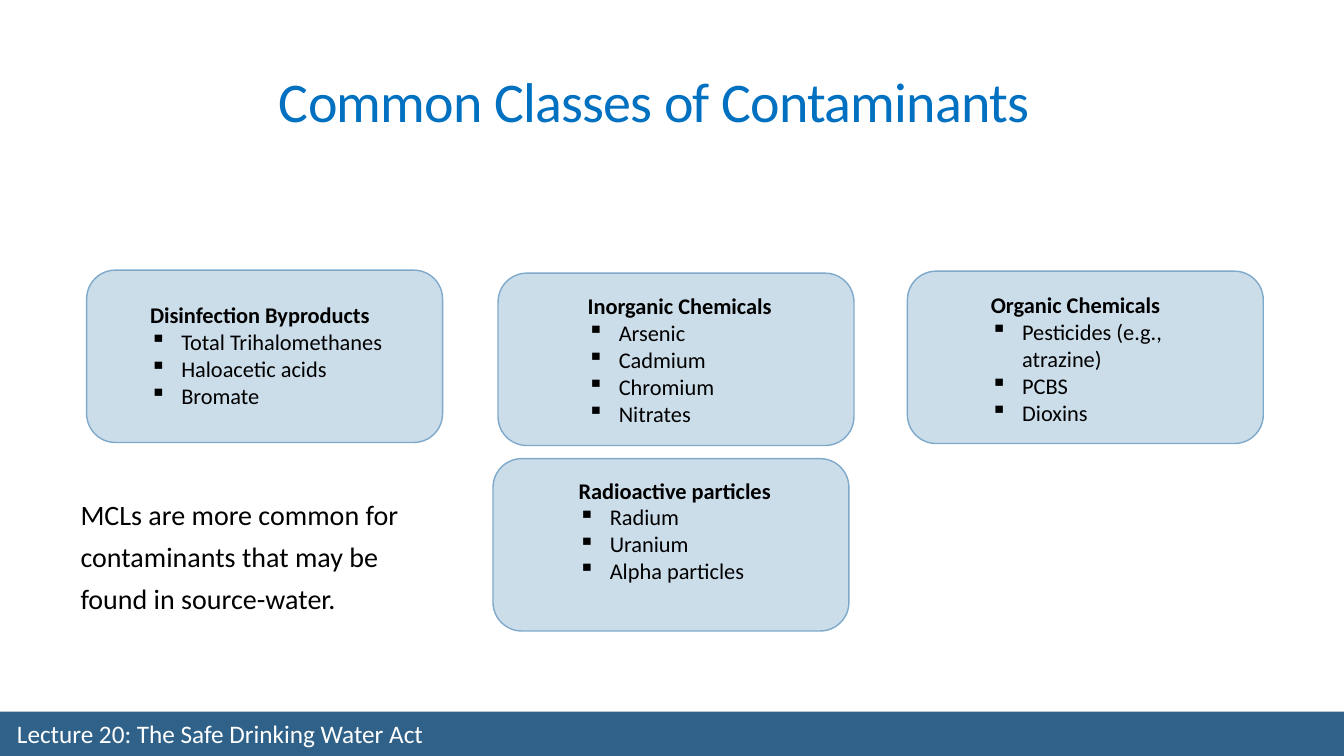
"""Builds the slide on common classes of drinking water contaminants."""
from lxml import etree
from pptx import Presentation
from pptx.dml.color import RGBColor
from pptx.enum.shapes import MSO_SHAPE
from pptx.enum.text import MSO_ANCHOR, MSO_AUTO_SIZE, PP_ALIGN
from pptx.oxml.ns import qn
from pptx.util import Pt

RECTANGLE, ROUNDED = MSO_SHAPE.RECTANGLE, MSO_SHAPE.ROUNDED_RECTANGLE
TOP, MIDDLE, BOTTOM = MSO_ANCHOR.TOP, MSO_ANCHOR.MIDDLE, MSO_ANCHOR.BOTTOM
GROW = MSO_AUTO_SIZE.SHAPE_TO_FIT_TEXT
LEFT, CENTER = PP_ALIGN.LEFT, PP_ALIGN.CENTER

PX = 9144
SLIDE_SIZE = (1333, 750)
CARD_SIZE = (353, 171)
LIST_WIDTH = 257
LIST_PADDING = 10
LIST_LINE = 27
BULLET_INDENT = 31
FONT = "Calibri"
COLORS = {
    "footer": "306289",
    "footer_text": "FFFFFF",
    "title": "0070C0",
    "card": "CCDDEA",
    "card_edge": "7EA9CA",
    "body": "000000",
}
CONTAMINANTS = [
    ((86, 268), (139, 294), "Disinfection Byproducts",
     ["Total Trihalomethanes", "Haloacetic acids", "Bromate"]),
    ((494, 271), (573, 285), "Inorganic Chemicals",
     ["Arsenic", "Cadmium", "Chromium", "Nitrates"]),
    ((900, 269), (973, 284), "Organic Chemicals",
     ["Pesticides (e.g., atrazine)", "PCBS", "Dioxins"]),
    ((489, 455), (564, 468), "Radioactive particles",
     ["Radium", "Uranium", "Alpha particles"]),
]


def emu(*lengths):
    """Turn px lengths into EMU."""
    return [length * PX for length in lengths]


def color(name):
    """Look up a named colour."""
    return RGBColor.from_string(COLORS[name])


def add_panel(slide, preset, box, fill, edge=None):
    """Add a filled shape with an optional edge."""
    panel = slide.shapes.add_shape(preset, *emu(*box))
    panel.shadow.inherit = False
    panel.fill.solid()
    panel.fill.fore_color.rgb = color(fill)
    if edge:
        panel.line.color.rgb = color(edge)
        panel.line.width = Pt(1)
    else:
        panel.line.fill.background()


def add_frame(slide, box, anchor=TOP):
    """Add a wrapping text box and return its text frame."""
    frame = slide.shapes.add_textbox(*emu(*box)).text_frame
    frame.word_wrap = True
    frame.vertical_anchor = anchor
    if anchor == TOP:
        frame.auto_size = GROW
    return frame


def add_run(paragraph, text, size, shade, bold=False):
    """Add one formatted run to a paragraph."""
    run = paragraph.add_run()
    run.text = text
    run.font.name = FONT
    run.font.size = Pt(size)
    run.font.bold = bold
    run.font.color.rgb = color(shade)
    return run


def add_line(slide, box, text, size, shade, anchor=TOP, align=LEFT, spacing=1.0):
    """Add a text box holding one paragraph and return its run."""
    paragraph = add_frame(slide, box, anchor).paragraphs[0]
    paragraph.alignment = align
    paragraph.line_spacing = spacing
    return add_run(paragraph, text, size, shade)


def add_bullet(paragraph):
    """Give a paragraph a hanging square bullet."""
    properties = paragraph._p.get_or_add_pPr()
    indent, = emu(BULLET_INDENT)
    properties.set("marL", str(indent))
    properties.set("indent", str(-indent))
    etree.SubElement(properties, qn("a:buChar"), char="▪")


def add_contaminant_list(slide, corner, heading, examples):
    """Add a bold heading with bulleted examples."""
    height = LIST_PADDING + LIST_LINE * (len(examples) + 1)
    frame = add_frame(slide, (*corner, LIST_WIDTH, height))
    add_run(frame.paragraphs[0], heading, 16, "body", bold=True)
    for example in examples:
        paragraph = frame.add_paragraph()
        add_bullet(paragraph)
        add_run(paragraph, example, 16, "body")


def main():
    """Build and save the slide."""
    presentation = Presentation()
    presentation.slide_width, presentation.slide_height = emu(*SLIDE_SIZE)
    slide = presentation.slides.add_slide(presentation.slide_layouts[6])

    add_panel(slide, RECTANGLE, (0, 706, 1333, 46), "footer")
    add_line(slide, (7, 712, 660, 32), "Lecture 20: The Safe Drinking Water Act",
             18, "footer_text", MIDDLE)
    title = add_line(slide, (254, 17, 790, 121), "Common Classes of Contaminants",
                     40, "title", BOTTOM, CENTER, 0.85)
    title.font._element.set("spc", "-50")

    for card_corner, list_corner, heading, examples in CONTAMINANTS:
        add_panel(slide, ROUNDED, (*card_corner, *CARD_SIZE), "card", "card_edge")
        add_contaminant_list(slide, list_corner, heading, examples)

    add_line(slide, (70, 480, 385, 133),
             "MCLs are more common for contaminants that may be found in source-water.",
             20, "body", spacing=1.25)
    presentation.save("out.pptx")


if __name__ == "__main__":
    main()
